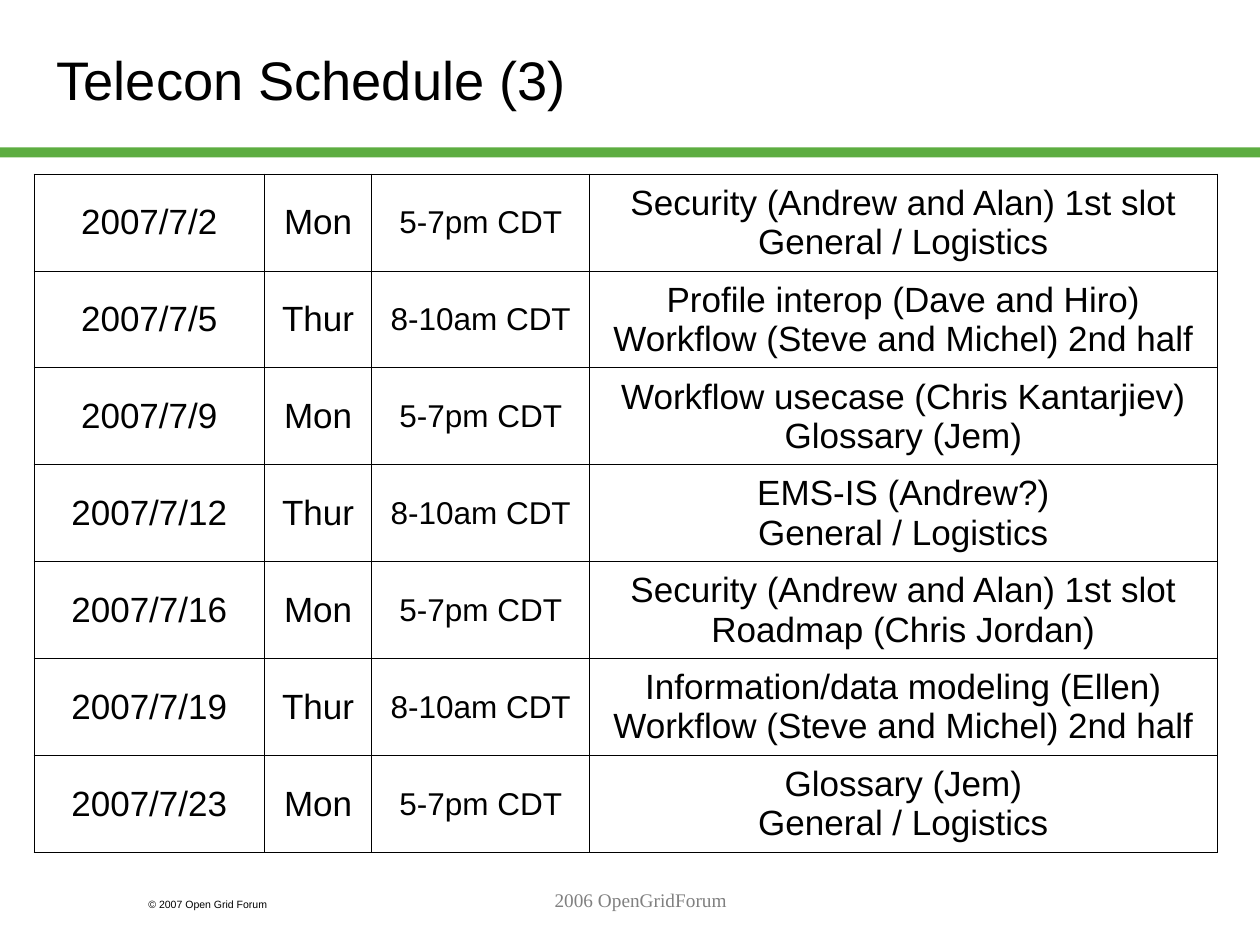
"""Build the telecon schedule slide."""
from dataclasses import dataclass
from typing import NamedTuple

from lxml import etree
from pptx import Presentation
from pptx.dml.color import RGBColor
from pptx.enum import shapes, text
from pptx.oxml import ns
from pptx.util import Inches, Pt


@dataclass(frozen=True)
class Theme:
    sans: str = "Arial"
    serif: str = "Times New Roman"
    ink: str = "000000"
    paper: str = "FFFFFF"
    green: str = "5DAD41"
    gray: str = "808080"
    head: float = 31
    cell: float = 20
    time: float = 18
    foot: float = 11
    legal: float = 6
    rule: float = 0.45


class Box(NamedTuple):
    left: float
    top: float
    width: float
    height: float


class Call(NamedTuple):
    date: str
    day: str
    topics: str


class Note(NamedTuple):
    words: str
    box: Box
    size: float
    face: str
    color: str
    align: text.PP_ALIGN


LOOK = Theme()
LEFT, MID = text.PP_ALIGN.LEFT, text.PP_ALIGN.CENTER
HOURS = {"Mon": "5-7pm CDT", "Thur": "8-10am CDT"}
COLS = (1.83, 0.85, 1.73, 4.98)
ROW = 0.77
CALLS = (
    Call("2007/7/2", "Mon", "Security (Andrew and Alan) 1st slot\nGeneral / Logistics"),
    Call("2007/7/5", "Thur", "Profile interop (Dave and Hiro)\nWorkflow (Steve and Michel) 2nd half"),
    Call("2007/7/9", "Mon", "Workflow usecase (Chris Kantarjiev)\nGlossary (Jem)"),
    Call("2007/7/12", "Thur", "EMS-IS (Andrew?)\nGeneral / Logistics"),
    Call("2007/7/16", "Mon", "Security (Andrew and Alan) 1st slot\nRoadmap (Chris Jordan)"),
    Call("2007/7/19", "Thur", "Information/data modeling (Ellen)\nWorkflow (Steve and Michel) 2nd half"),
    Call("2007/7/23", "Mon", "Glossary (Jem)\nGeneral / Logistics"),
)
NOTES = (
    Note("© 2007 Open Grid Forum", Box(1.08, 7.08, 1.5, 0.2), LOOK.legal, LOOK.sans, LOOK.ink, LEFT),
    Note("2006 OpenGridForum", Box(2.17, 7, 5.83, 0.5), LOOK.foot, LOOK.serif, LOOK.gray, MID),
)


def place(box: Box) -> list[int]:
    return [Inches(side) for side in box]


def write(frame, words: str, size: float, face: str, color: str, align) -> None:
    frame.text = words
    for para in frame.paragraphs:
        para.alignment = align
        for run in para.runs:
            run.font.size = Pt(size)
            run.font.name = face
            run.font.color.rgb = RGBColor.from_string(color)


def edge(cell) -> None:
    props = cell._tc.get_or_add_tcPr()
    for spot, side in enumerate(("lnL", "lnR", "lnT", "lnB")):
        line = etree.Element(ns.qn(f"a:{side}"), w=str(int(Pt(LOOK.rule))))
        fill = etree.SubElement(line, ns.qn("a:solidFill"))
        etree.SubElement(fill, ns.qn("a:srgbClr"), val=LOOK.ink)
        props.insert(spot, line)


def draw_title(slide) -> None:
    title = slide.shapes.title
    title.left, title.top, title.width, title.height = place(Box(0.35, 0.17, 8.9, 0.91))
    frame = title.text_frame
    write(frame, "Telecon Schedule (3)", LOOK.head, LOOK.sans, LOOK.ink, LEFT)
    frame.vertical_anchor = text.MSO_ANCHOR.MIDDLE
    frame.auto_size = text.MSO_AUTO_SIZE.NONE


def draw_bar(slide) -> None:
    bar = slide.shapes.add_shape(shapes.MSO_SHAPE.RECTANGLE, *place(Box(0, 1.17, 10, 0.08)))
    bar.shadow.inherit = False
    bar.fill.solid()
    bar.fill.fore_color.rgb = RGBColor.from_string(LOOK.green)
    bar.line.fill.background()


def draw_note(slide, note: Note) -> None:
    frame = slide.shapes.add_textbox(*place(note.box)).text_frame
    frame.word_wrap = True
    write(frame, note.words, note.size, note.face, note.color, note.align)


def draw_grid(slide) -> None:
    box = Box(0.27, 1.38, sum(COLS), ROW * len(CALLS))
    grid = slide.shapes.add_table(len(CALLS), len(COLS), *place(box)).table
    grid.first_row = grid.horz_banding = False
    for col, width in zip(grid.columns, COLS):
        col.width = Inches(width)
    sizes = (LOOK.cell, LOOK.cell, LOOK.time, LOOK.cell)
    for row, call in zip(grid.rows, CALLS):
        row.height = Inches(ROW)
        words = (call.date, call.day, HOURS[call.day], call.topics)
        for cell, word, size in zip(row.cells, words, sizes):
            write(cell.text_frame, word, size, LOOK.sans, LOOK.ink, MID)
            cell.vertical_anchor = text.MSO_ANCHOR.MIDDLE
            cell.fill.solid()
            cell.fill.fore_color.rgb = RGBColor.from_string(LOOK.paper)
            edge(cell)


def main() -> None:
    deck = Presentation()
    deck.slide_width, deck.slide_height = Inches(10), Inches(7.5)
    slide = deck.slides.add_slide(deck.slide_layouts[5])
    draw_bar(slide)
    draw_title(slide)
    draw_grid(slide)
    for note in NOTES:
        draw_note(slide, note)
    deck.save("out.pptx")


if __name__ == "__main__":
    main()
